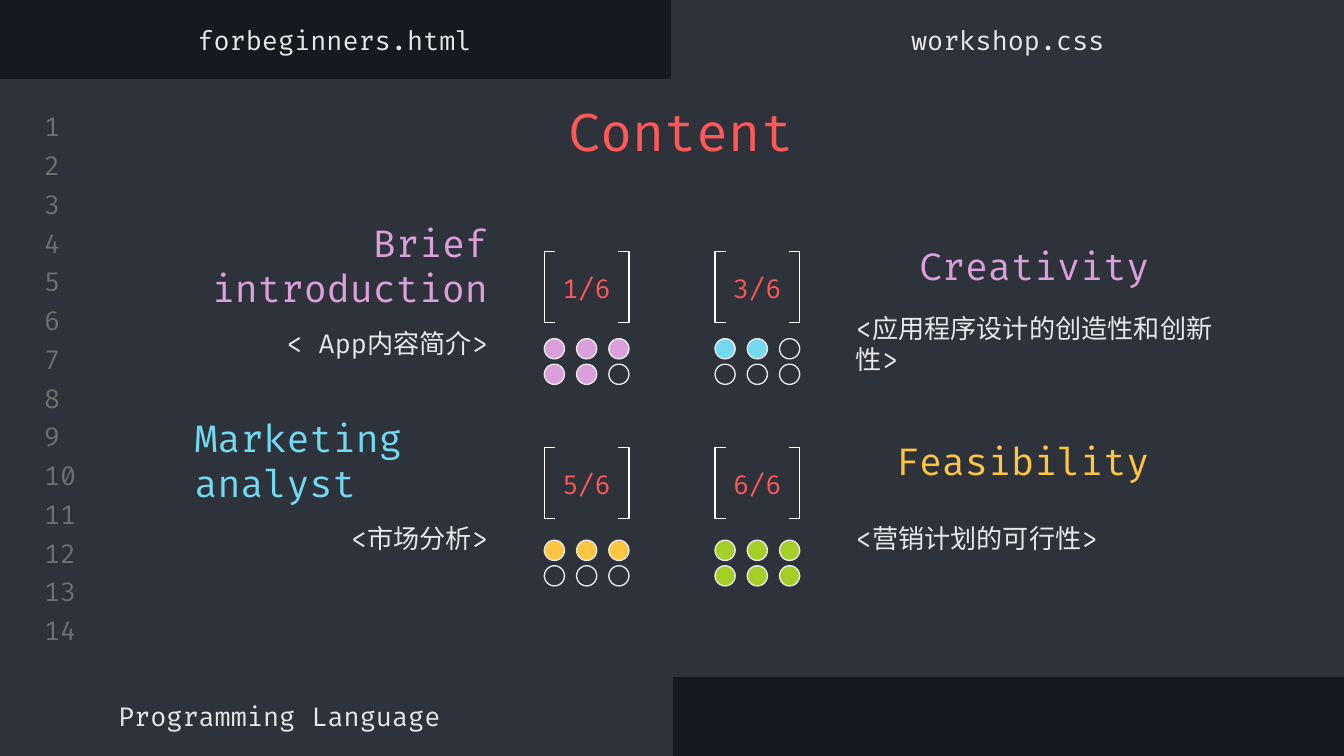
import pptx
import pptx.dml.color
import pptx.enum.shapes
import pptx.enum.text
import pptx.oxml.ns
import pptx.util
from lxml import etree
from pptx.util import Inches

SLIDE_WIDTH = 10
SLIDE_HEIGHT = SLIDE_WIDTH * 9 / 16
FONT = "Fira Code"
COLORS = {
    "dark": "16191F", "panel": "2E323B", "number": "707070", "text": "E7E7E7",
    "white": "FFFFFF", "red": "FF5858", "pink": "DBA0DB", "blue": "72D9F0",
    "yellow": "FCC642", "green": "A5CF27",
}
SHAPES = pptx.enum.shapes.MSO_SHAPE
ALIGN = pptx.enum.text.PP_ALIGN
ANCHOR = pptx.enum.text.MSO_ANCHOR


def rgb(name):
    """Return the named palette colour."""
    return pptx.dml.color.RGBColor.from_string(COLORS[name])


def add_text(slide, text, left, top, width, height, size=14, color="text",
             align=ALIGN.LEFT, anchor=ANCHOR.MIDDLE):
    """Add a wrapped one-paragraph text box."""
    box = slide.shapes.add_textbox(Inches(left), Inches(top), Inches(width), Inches(height))
    frame = box.text_frame
    frame.word_wrap = True
    frame.vertical_anchor = anchor
    frame.margin_left = frame.margin_right = Inches(0.1)
    frame.margin_top = frame.margin_bottom = Inches(0.1)
    paragraph = frame.paragraphs[0]
    paragraph.alignment = align
    run = paragraph.add_run()
    run.text = text
    run.font.size = pptx.util.Pt(size)
    run.font.color.rgb = rgb(color)
    run.font.name = FONT
    properties = run._r.get_or_add_rPr()
    etree.SubElement(properties, pptx.oxml.ns.qn("a:ea"), typeface=FONT)


def add_outlined(slide, kind, left, top, width, height, line, fill=None):
    """Add a preset shape with a thin outline and an optional fill."""
    shape = slide.shapes.add_shape(kind, Inches(left), Inches(top), Inches(width), Inches(height))
    shape.shadow.inherit = False
    shape.line.color.rgb = rgb(line)
    shape.line.width = pptx.util.Pt(0.75)
    if fill:
        shape.fill.solid()
        shape.fill.fore_color.rgb = rgb(fill)
    else:
        shape.fill.background()
    return shape


def add_editor(slide, width, height):
    """Draw the editor window with its tabs and status bar."""
    half, bar = width / 2, 0.65
    panels = [(half, 0, half, bar), (0, height - bar, half, bar), (0, 0.59, width, 4.44)]
    for panel in panels:
        add_outlined(slide, SHAPES.RECTANGLE, *panel, line="panel", fill="panel")
    for left, name in [(-0.01, "forbeginners.html"), (half, "workshop.css")]:
        add_text(slide, name, left, 0.1, half, 0.39, align=ALIGN.CENTER)
    add_text(slide, "Programming Language", 0.78, height - 0.49, 5.32, 0.39)


def add_line_numbers(slide, left, top, bottom, count):
    """Number the editor lines evenly down the gutter."""
    height = 0.24
    pitch = (bottom - top - height) / (count - 1)
    for index in range(count):
        add_text(slide, str(index + 1), left, top + index * pitch, 0.47, height, color="number")


def add_topic(slide, left, top, heading, color, heading_align, caption, caption_align):
    """Place a topic heading above its caption."""
    on_right = caption_align == ALIGN.LEFT
    caption_left, caption_width = (left, 2.95) if on_right else (left - 0.46, 2.84)
    add_text(slide, caption, caption_left, top + 0.41, caption_width, 0.71, align=caption_align)
    add_text(slide, heading, left, top, 2.38, 0.37, size=20, color=color, align=heading_align)


def add_gauge(slide, left, top, label, color, filled, dots_offset):
    """Draw a bracketed label over two rows of three dots."""
    width, bracket = 0.63, 0.08
    sides = [(SHAPES.LEFT_BRACKET, left), (SHAPES.RIGHT_BRACKET, left + width - bracket)]
    for kind, side_left in sides:
        shape = add_outlined(slide, kind, side_left, top, bracket, 0.53, line="white")
        shape.adjustments[0] = 0
    for index in range(6):
        row, column = divmod(index, 3)
        add_outlined(slide, SHAPES.OVAL, left + column * 0.24, top + dots_offset + row * 0.19,
                     0.15, 0.15, line="text", fill=color if index < filled else None)
    add_text(slide, label, left, top + 0.08, width, 0.39, color="red", align=ALIGN.CENTER)


def main():
    """Build and save the slide."""
    presentation = pptx.Presentation()
    presentation.slide_width = Inches(SLIDE_WIDTH)
    presentation.slide_height = Inches(SLIDE_HEIGHT)
    slide = presentation.slides.add_slide(presentation.slide_layouts[6])
    slide.background.fill.solid()
    slide.background.fill.fore_color.rgb = rgb("dark")

    add_editor(slide, SLIDE_WIDTH, SLIDE_HEIGHT)
    add_line_numbers(slide, 0.23, 0.82, bottom=4.81, count=14)
    add_text(slide, "Content", 4.13, 0.64, 5.09, 0.63, size=28, color="red", anchor=ANCHOR.TOP)

    left, right = ALIGN.LEFT, ALIGN.RIGHT
    topics = [
        (1.35, 1.79, "Brief introduction", "pink", right, "< App内容简介>", right),
        (6.27, 1.79, "Creativity", "pink", right, "<应用程序设计的创造性和创新性>", left),
        (1.35, 3.24, "Marketing analyst", "blue", left, "<市场分析>", right),
        (6.27, 3.24, "Feasibility", "yellow", right, "<营销计划的可行性>", left),
    ]
    for topic in topics:
        add_topic(slide, *topic)

    gauges = [
        (4.05, 1.87, "1/6", "pink", 5, 0.65),
        (5.32, 1.87, "3/6", "blue", 2, 0.65),
        (4.05, 3.33, "5/6", "yellow", 3, 0.69),
        (5.32, 3.33, "6/6", "green", 6, 0.69),
    ]
    for gauge in gauges:
        add_gauge(slide, *gauge)

    presentation.save("out.pptx")


if __name__ == "__main__":
    main()
